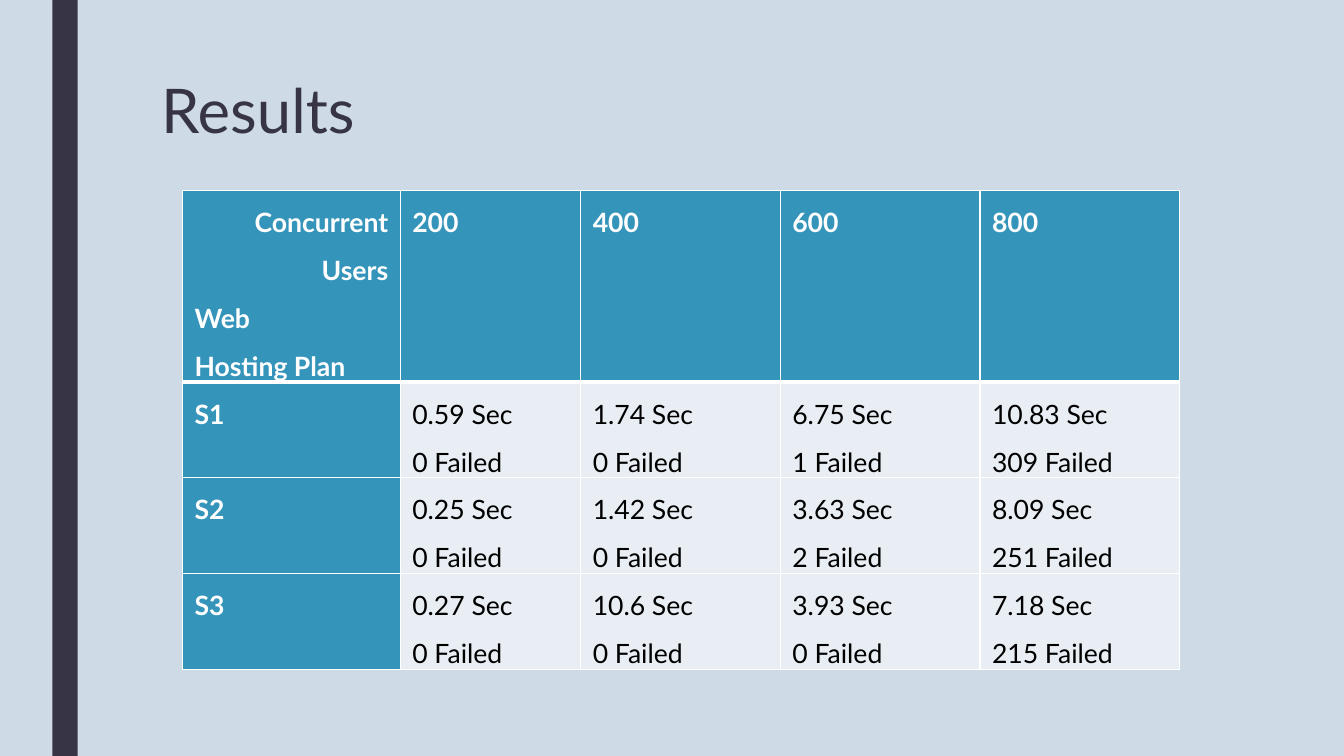
import pptx
import pptx.util
import pptx.dml.color
import pptx.enum.shapes
import pptx.enum.text
import pptx.oxml
import pptx.oxml.ns

Inches, Pt = pptx.util.Inches, pptx.util.Pt
RGBColor = pptx.dml.color.RGBColor
ALIGN = pptx.enum.text.PP_ALIGN
ANCHOR = pptx.enum.text.MSO_ANCHOR

BACKGROUND = RGBColor(0xCE, 0xDB, 0xE6)
DARK = RGBColor(0x37, 0x35, 0x45)
TEAL = RGBColor(0x34, 0x94, 0xBA)
PALE = RGBColor(0xE8, 0xEE, 0xF3)
WHITE = RGBColor(0xFF, 0xFF, 0xFF)
BLACK = RGBColor(0x00, 0x00, 0x00)

COLUMN_WIDTHS = [2.16, 1.79, 1.98, 1.98, 1.98]
ROW_HEIGHTS = [1.89, 0.95, 0.95, 0.95]
RESULTS = [
    ["Concurrent Users\nWeb\nHosting Plan", "200", "400", "600", "800"],
    ["S1", "0.59 Sec\n0 Failed", "1.74 Sec\n0 Failed", "6.75 Sec\n1 Failed", "10.83 Sec\n309 Failed"],
    ["S2", "0.25 Sec\n0 Failed", "1.42 Sec\n0 Failed", "3.63 Sec\n2 Failed", "8.09 Sec\n251 Failed"],
    ["S3", "0.27 Sec\n0 Failed", "10.6 Sec\n0 Failed", "3.93 Sec\n0 Failed", "7.18 Sec\n215 Failed"],
]


def write_paragraph(p, text, align, spacing, color, font):
    p.alignment = align
    p.line_spacing = spacing
    r = p.add_run()
    r.text = text
    r.font.color.rgb = color
    for name, value in font.items():
        setattr(r.font, name, value)


def add_border(cell, side, points):
    """Draw a white line on one side (L, R, T or B); call before setting the fill."""
    cell._tc.get_or_add_tcPr().append(pptx.oxml.parse_xml(
        f'<a:ln{side} {pptx.oxml.ns.nsdecls("a")} w="{Pt(points)}">'
        f'<a:solidFill><a:srgbClr val="{WHITE}"/></a:solidFill></a:ln{side}>'))


prs = pptx.Presentation()
prs.slide_width, prs.slide_height = Inches(13.33), Inches(7.5)
s = prs.slides.add_slide(prs.slide_layouts[6])
s.background.fill.solid()
s.background.fill.fore_color.rgb = BACKGROUND

bar = s.shapes.add_shape(pptx.enum.shapes.MSO_SHAPE.RECTANGLE,
                         Inches(0.52), 0, Inches(0.25), prs.slide_height)
bar.shadow.inherit = False
bar.fill.solid()
bar.fill.fore_color.rgb = DARK
bar.line.fill.background()

title = s.shapes.add_textbox(Inches(1.5), Inches(0.75), Inches(10.5), Inches(0.76))
tf = title.text_frame
tf.word_wrap = True
tf.vertical_anchor = ANCHOR.MIDDLE
write_paragraph(tf.paragraphs[0], "Results", ALIGN.LEFT, 0.89, DARK,
                {"name": "Lato", "size": Pt(44)})

table = s.shapes.add_table(len(ROW_HEIGHTS), len(COLUMN_WIDTHS), Inches(1.81), Inches(1.89),
                           Inches(sum(COLUMN_WIDTHS)), Inches(sum(ROW_HEIGHTS))).table
for column, width in zip(table.columns, COLUMN_WIDTHS):
    column.width = Inches(width)
for row, height in zip(table.rows, ROW_HEIGHTS):
    row.height = Inches(height)

cell_format = {"margin_left": Inches(0.12), "margin_right": Inches(0.12),
               "margin_top": 0, "margin_bottom": 0, "vertical_anchor": ANCHOR.TOP}
for i, row in enumerate(RESULTS):
    for j, text in enumerate(row):
        cell = table.cell(i, j)
        is_header = i == 0 or j == 0
        for name, value in cell_format.items():
            setattr(cell, name, value)
        borders = {"L": 1, "R": 1, "T": 3 if i == 1 else 1, "B": 3 if i == 0 else 1}
        for side, points in borders.items():
            add_border(cell, side, points)
        cell.fill.solid()
        cell.fill.fore_color.rgb = TEAL if is_header else PALE
        tf = cell.text_frame
        for k, line in enumerate(text.split("\n")):
            p = tf.add_paragraph() if k else tf.paragraphs[0]
            align = ALIGN.RIGHT if i == j == k == 0 else ALIGN.JUSTIFY
            write_paragraph(p, line, align, 1.5, WHITE if is_header else BLACK,
                            {"name": "Lato", "size": Pt(19), "bold": is_header})

prs.save("out.pptx")
